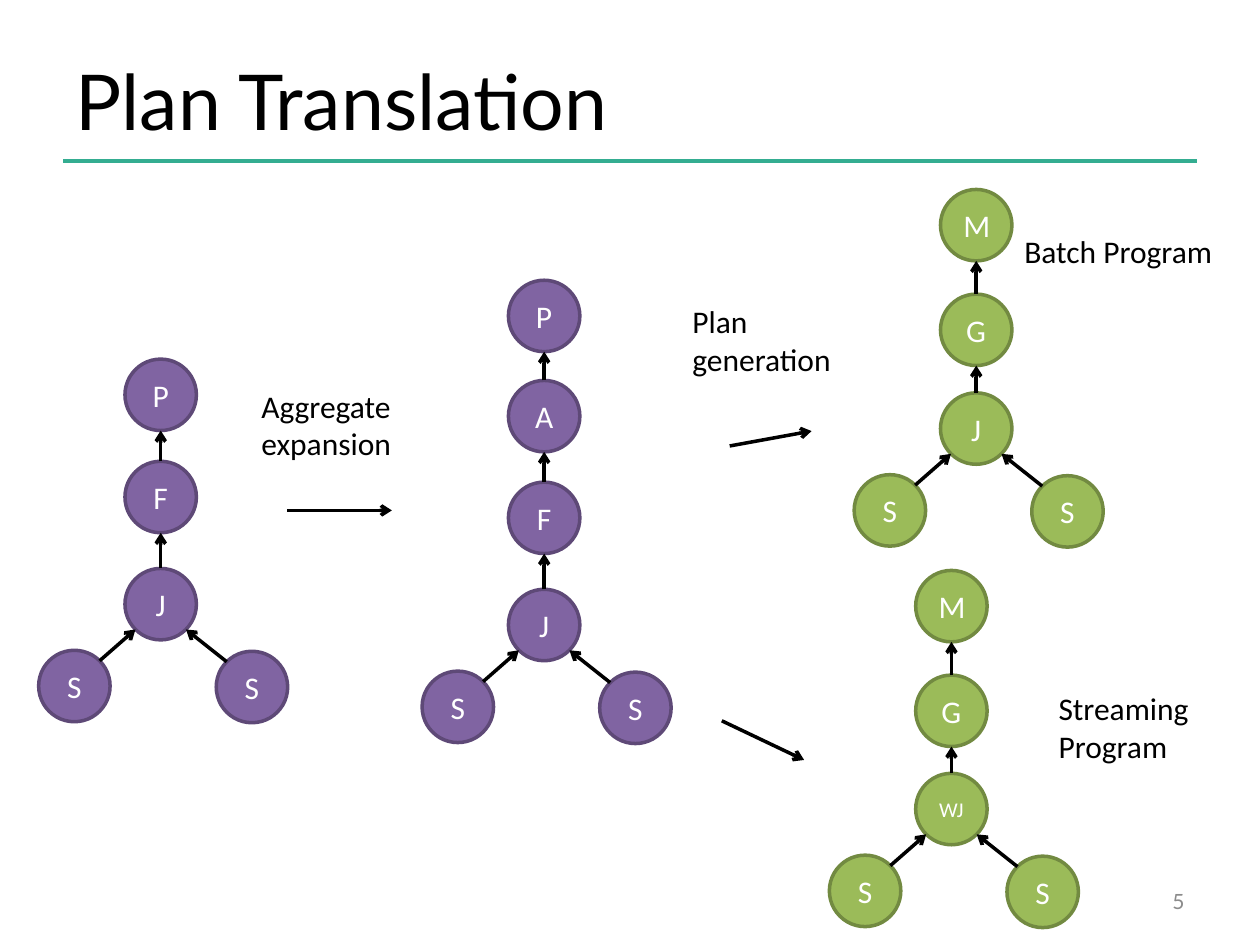
"""Build the plan translation slide: operator trees joined by labelled steps."""
import math
from typing import NamedTuple

from lxml import etree
from pptx import Presentation
from pptx.dml.color import RGBColor
from pptx.enum.shapes import MSO_CONNECTOR, MSO_SHAPE
from pptx.enum.text import MSO_ANCHOR, PP_ALIGN
from pptx.oxml.ns import qn
from pptx.util import Cm, Pt

STRAIGHT = MSO_CONNECTOR.STRAIGHT
OVAL = MSO_SHAPE.OVAL
MIDDLE, TOP = MSO_ANCHOR.MIDDLE, MSO_ANCHOR.TOP
LEFT, CENTER, RIGHT = PP_ALIGN.LEFT, PP_ALIGN.CENTER, PP_ALIGN.RIGHT

COLORS = {
    "rule": "34AD91",
    "text": "000000",
    "node_text": "FFFFFF",
    "page": "8B8B8B",
    "logical": "8064A2",
    "logical_edge": "5E4977",
    "physical": "9BBB59",
    "physical_edge": "728A41",
}
RADIUS = 0.72
DIAGONAL = RADIUS * math.sqrt(0.5)
SOURCE_OFFSETS = ((-1.74, 1.65), (1.84, 1.67))


class Operator(NamedTuple):
    name: str
    y: float
    size: int = 18


class Tree(NamedTuple):
    kind: str
    x: float
    operators: tuple[Operator, ...]


class Label(NamedTuple):
    lines: tuple[str, ...]
    box: tuple[float, float, float, float]


class Arrow(NamedTuple):
    start: tuple[float, float]
    end: tuple[float, float]


TREES = (
    Tree("logical", 3.24, (Operator("P", 7.96), Operator("F", 10.02), Operator("J", 12.18))),
    Tree("logical", 10.97, (Operator("P", 6.37), Operator("A", 8.39),
                            Operator("F", 10.44), Operator("J", 12.6))),
    Tree("physical", 19.68, (Operator("M", 4.54), Operator("G", 6.65), Operator("J", 8.64))),
    Tree("physical", 19.18, (Operator("M", 12.22), Operator("G", 14.33),
                             Operator("WJ", 16.31, 12))),
)
LABELS = (
    Label(("Batch Program",), (20.4, 4.55, 5.2, 1.02)),
    Label(("Streaming", "Program"), (21.09, 13.77, 3.78, 1.79)),
    Label(("Aggregate", "expansion"), (5.02, 7.67, 3.81, 1.79)),
    Label(("Plan", "generation"), (13.71, 5.97, 3.96, 1.79)),
)
STEPS = (
    Arrow((5.79, 10.29), (7.9, 10.29)),
    Arrow((14.71, 8.99), (16.36, 8.69)),
    Arrow((14.55, 14.53), (16.21, 15.32)),
)


def write(shape, lines: tuple[str, ...], size: int, color: str, font: str = "Calibri",
          align=LEFT, anchor=TOP, wrap: bool = True) -> None:
    """Fill a shape with one formatted paragraph per line."""
    frame = shape.text_frame
    frame.text = "\n".join(lines)
    for name, value in {"word_wrap": wrap, "vertical_anchor": anchor}.items():
        setattr(frame, name, value)
    for paragraph in frame.paragraphs:
        paragraph.alignment = align
        run_font = paragraph.runs[0].font
        for name, value in {"name": font, "size": Pt(size)}.items():
            setattr(run_font, name, value)
        run_font.color.rgb = RGBColor.from_string(COLORS[color])


def draw_line(slide, line: Arrow, color: str = "text", arrowhead: bool = True) -> None:
    """Draw a straight line, with an open arrowhead at its end if asked."""
    connector = slide.shapes.add_connector(STRAIGHT, *map(Cm, line.start + line.end))
    connector.line.width = Pt(2)
    connector.line.color.rgb = RGBColor.from_string(COLORS[color])
    properties = connector._element.spPr
    if arrowhead:
        etree.SubElement(properties.find(qn("a:ln")), qn("a:tailEnd"), type="arrow")
    etree.SubElement(properties, qn("a:effectLst"))


def draw_node(slide, kind: str, x: float, operator: Operator) -> None:
    """Draw one operator as a circle centred on its position."""
    node = slide.shapes.add_shape(
        OVAL, Cm(x - RADIUS), Cm(operator.y - RADIUS), Cm(2 * RADIUS), Cm(2 * RADIUS))
    node.shadow.inherit = False
    node.fill.solid()
    node.fill.fore_color.rgb = RGBColor.from_string(COLORS[kind])
    node.line.color.rgb = RGBColor.from_string(COLORS[f"{kind}_edge"])
    node.line.width = Pt(2)
    write(node, (operator.name,), operator.size, "node_text", align=CENTER, anchor=MIDDLE)


def draw_tree(slide, tree: Tree) -> None:
    """Draw a chain of operators fed by two sources at its foot."""
    for operator in tree.operators:
        draw_node(slide, tree.kind, tree.x, operator)
    for upper, lower in zip(tree.operators, tree.operators[1:]):
        draw_line(slide, Arrow((tree.x, lower.y - RADIUS), (tree.x, upper.y + RADIUS)))
    join = tree.operators[-1]
    for dx, dy in SOURCE_OFFSETS:
        source_x, source_y = tree.x + dx, join.y + dy
        inward = math.copysign(DIAGONAL, dx)
        draw_node(slide, tree.kind, source_x, Operator("S", source_y))
        draw_line(slide, Arrow((source_x - inward, source_y - DIAGONAL),
                               (tree.x + inward, join.y + DIAGONAL)))


def main() -> None:
    """Lay out the slide and save it."""
    deck = Presentation()
    deck.slide_width, deck.slide_height = Cm(25.4), Cm(19.05)
    slide = deck.slides.add_slide(deck.slide_layouts[5])

    title = slide.shapes.title
    bounds = {"left": 1.27, "top": 0.76, "width": 20.75, "height": 2.49}
    for name, value in bounds.items():
        setattr(title, name, Cm(value))
    write(title, ("Plan Translation",), 44, "text", "Lato", anchor=MIDDLE)
    draw_line(slide, Arrow((1.27, 3.25), (24.13, 3.25)), "rule", arrowhead=False)

    for tree in TREES:
        draw_tree(slide, tree)
    for step in STEPS:
        draw_line(slide, step)
    for label in LABELS:
        caption = slide.shapes.add_textbox(*map(Cm, label.box))
        write(caption, label.lines, 18, "text", wrap=False)

    page_number = slide.shapes.add_textbox(Cm(18.2), Cm(17.66), Cm(5.93), Cm(1.01))
    write(page_number, ("5",), 12, "page", "Lato", align=RIGHT, anchor=MIDDLE)
    deck.save("out.pptx")


if __name__ == "__main__":
    main()
